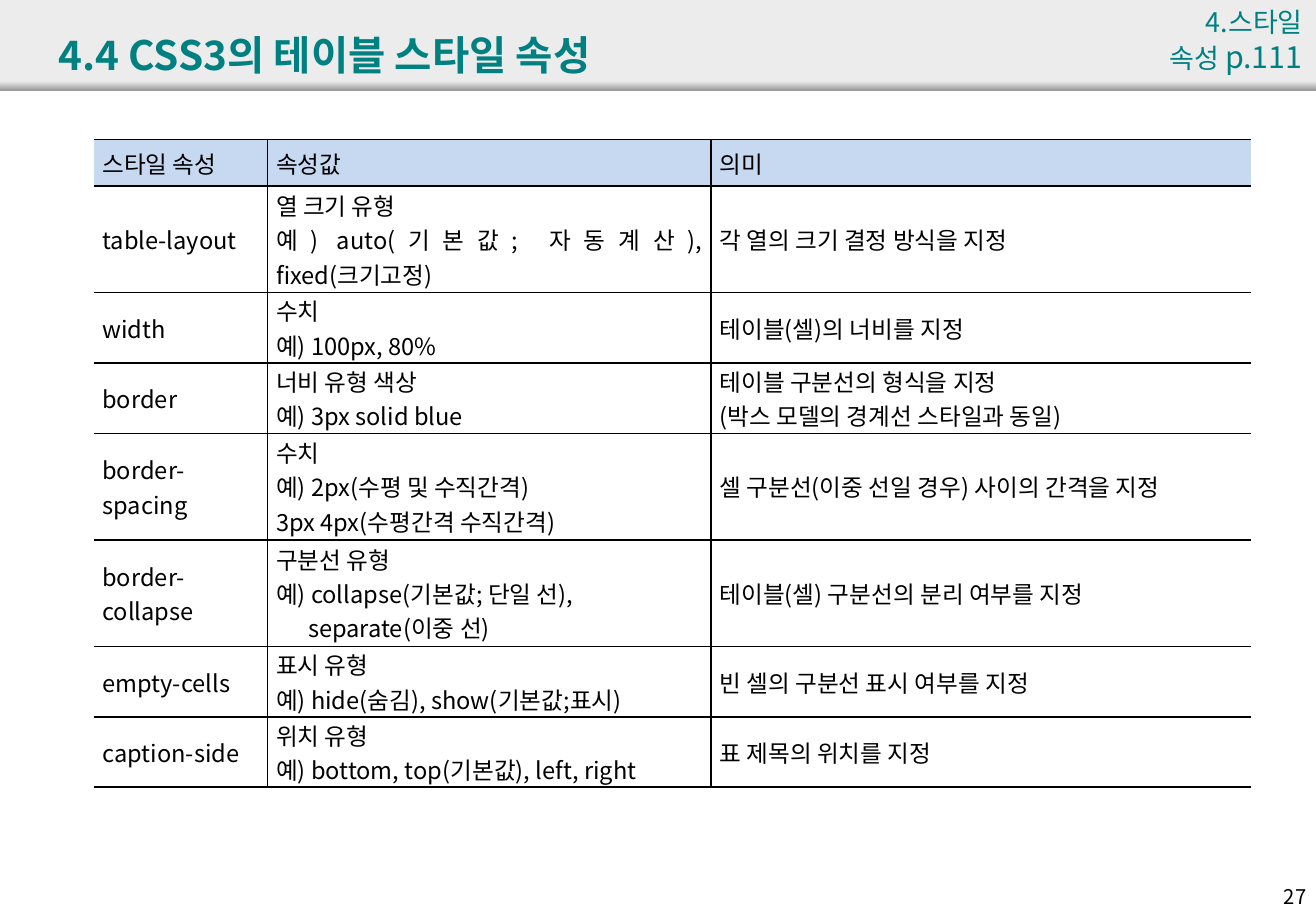
from lxml import etree
from pptx import Presentation
from pptx.dml.color import RGBColor
from pptx.enum import shapes, text
from pptx.oxml import ns
from pptx.util import Cm, Pt

FONT = "Noto Sans CJK KR"
COLORS = {"band": "ECECEC", "edge": "979797", "teal": "008080",
          "ink": "000000", "head": "C6D9F1"}
NO_STYLE = "{2D5ABB26-0587-4C30-8999-92F81FD0307C}"

COLUMN_WIDTHS = (3.63, 9.27, 11.3)
LINE_HEIGHTS = {1: 0.97, 2: 1.47, 3: 2.23}
INDENT = {"separate(이중 선)": 0.67}
# Lines tall, then property, values, meaning
PROPERTIES = [
    (1, "스타일 속성", "속성값", "의미"),
    (3, "table-layout", "열 크기 유형\n예) auto(기본값; 자동계산), fixed(크기고정)",
     "각 열의 크기 결정 방식을 지정"),
    (2, "width", "수치\n예) 100px, 80%", "테이블(셀)의 너비를 지정"),
    (2, "border", "너비 유형 색상\n예) 3px solid blue",
     "테이블 구분선의 형식을 지정\n(박스 모델의 경계선 스타일과 동일)"),
    (3, "border-spacing", "수치\n예) 2px(수평 및 수직간격)\n3px 4px(수평간격 수직간격)",
     "셀 구분선(이중 선일 경우) 사이의 간격을 지정"),
    (3, "border-collapse", "구분선 유형\n예) collapse(기본값; 단일 선),\nseparate(이중 선)",
     "테이블(셀) 구분선의 분리 여부를 지정"),
    (2, "empty-cells", "표시 유형\n예) hide(숨김), show(기본값;표시)",
     "빈 셀의 구분선 표시 여부를 지정"),
    (2, "caption-side", "위치 유형\n예) bottom, top(기본값), left, right",
     "표 제목의 위치를 지정"),
]


def rgb(name):
    return RGBColor.from_string(COLORS[name])


def style_run(run, size, color, bold=False):
    font = run.font
    font.name, font.size, font.bold = FONT, Pt(size), bold
    font.color.rgb = rgb(color)
    east_asian = etree.SubElement(run._r.get_or_add_rPr(), ns.qn("a:ea"))
    east_asian.set("typeface", FONT)


def add_label(slide, box, parts, color, align, bold=False,
              anchor=text.MSO_ANCHOR.TOP):
    """Place one line of text made of (wording, size) parts."""
    frame = slide.shapes.add_textbox(*map(Cm, box)).text_frame
    frame.word_wrap = True
    frame.vertical_anchor = anchor
    paragraph = frame.paragraphs[0]
    paragraph.alignment = align
    for wording, size in parts:
        run = paragraph.add_run()
        run.text = wording
        style_run(run, size, color, bold)


def add_band(slide, left, top, width, height):
    band = slide.shapes.add_shape(shapes.MSO_SHAPE.RECTANGLE, Cm(left),
                                  Cm(top), Cm(width), Cm(height))
    band.shadow.inherit = False
    band.line.fill.background()
    return band


def draw_header(slide, left, top, width, height):
    # Grey band with a shaded lower edge
    band = add_band(slide, left, top, width, height)
    band.fill.solid()
    band.fill.fore_color.rgb = rgb("band")
    edge = add_band(slide, left, top + height - 0.2, width, 0.2)
    edge.fill.gradient()
    edge.fill.gradient_angle = 270
    for stop, name in zip(edge.fill.gradient_stops, ("band", "edge")):
        stop.color.rgb = rgb(name)
    # Title and chapter reference
    add_label(slide, (left + 0.97, top + 0.33, width - 2.3, 1.6),
              [("4.4 CSS3의 테이블 스타일 속성", 24)], "teal",
              text.PP_ALIGN.LEFT, True, text.MSO_ANCHOR.MIDDLE)
    add_label(slide, (left + width - 3.69, top, 3.66, 1.02),
              [("4.스타일 속성 ", 16), ("p.111", 18)], "teal",
              text.PP_ALIGN.RIGHT)


def set_borders(cell, visible):
    """Rule the named sides in black and leave the others open."""
    properties = cell._tc.get_or_add_tcPr()
    for position, side in enumerate("LRTB"):
        line = etree.Element(ns.qn("a:ln" + side), w=str(Pt(1)))
        if side in visible:
            fill = etree.SubElement(line, ns.qn("a:solidFill"))
            etree.SubElement(fill, ns.qn("a:srgbClr"), val=COLORS["ink"])
        else:
            etree.SubElement(line, ns.qn("a:noFill"))
        properties.insert(position, line)


def fill_cell(cell, wording, is_head, borders):
    cell.margin_left = cell.margin_right = Cm(0.18)
    cell.margin_top = cell.margin_bottom = 0
    cell.vertical_anchor = text.MSO_ANCHOR.MIDDLE
    if is_head:
        cell.fill.solid()
        cell.fill.fore_color.rgb = rgb("head")
    else:
        cell.fill.background()
    set_borders(cell, borders)
    cell.text_frame.text = wording
    for paragraph in cell.text_frame.paragraphs:
        paragraph.alignment = text.PP_ALIGN.JUSTIFY
        if paragraph.text in INDENT:
            paragraph._p.get_or_add_pPr().set(
                "marL", str(Cm(INDENT[paragraph.text])))
        for run in paragraph.runs:
            style_run(run, 14, "ink")


def draw_property_table(slide, left, top):
    heights = [LINE_HEIGHTS[lines] for lines, *_ in PROPERTIES]
    table = slide.shapes.add_table(
        len(PROPERTIES), len(COLUMN_WIDTHS), Cm(left), Cm(top),
        Cm(sum(COLUMN_WIDTHS)), Cm(sum(heights))).table
    table.first_row = table.horz_banding = False
    table._tbl.tblPr.find(ns.qn("a:tableStyleId")).text = NO_STYLE
    for column, width in zip(table.columns, COLUMN_WIDTHS):
        column.width = Cm(width)
    for r, (_, *wordings) in enumerate(PROPERTIES):
        table.rows[r].height = Cm(heights[r])
        for c, (wording, borders) in enumerate(
                zip(wordings, ("RTB", "LRTB", "LTB"))):
            fill_cell(table.cell(r, c), wording, r == 0, borders)


def main():
    deck = Presentation()
    deck.slide_width, deck.slide_height = Cm(27.51), Cm(19.05)
    slide = deck.slides.add_slide(deck.slide_layouts[6])
    draw_header(slide, 0, 0, 27.51, 1.9)
    draw_property_table(slide, 1.96, 2.92)
    # Page number
    add_label(slide, (26.16, 18.36, 1.4, 0.76), [("27", 12)], "ink",
              text.PP_ALIGN.RIGHT)
    deck.save("out.pptx")


if __name__ == "__main__":
    main()
